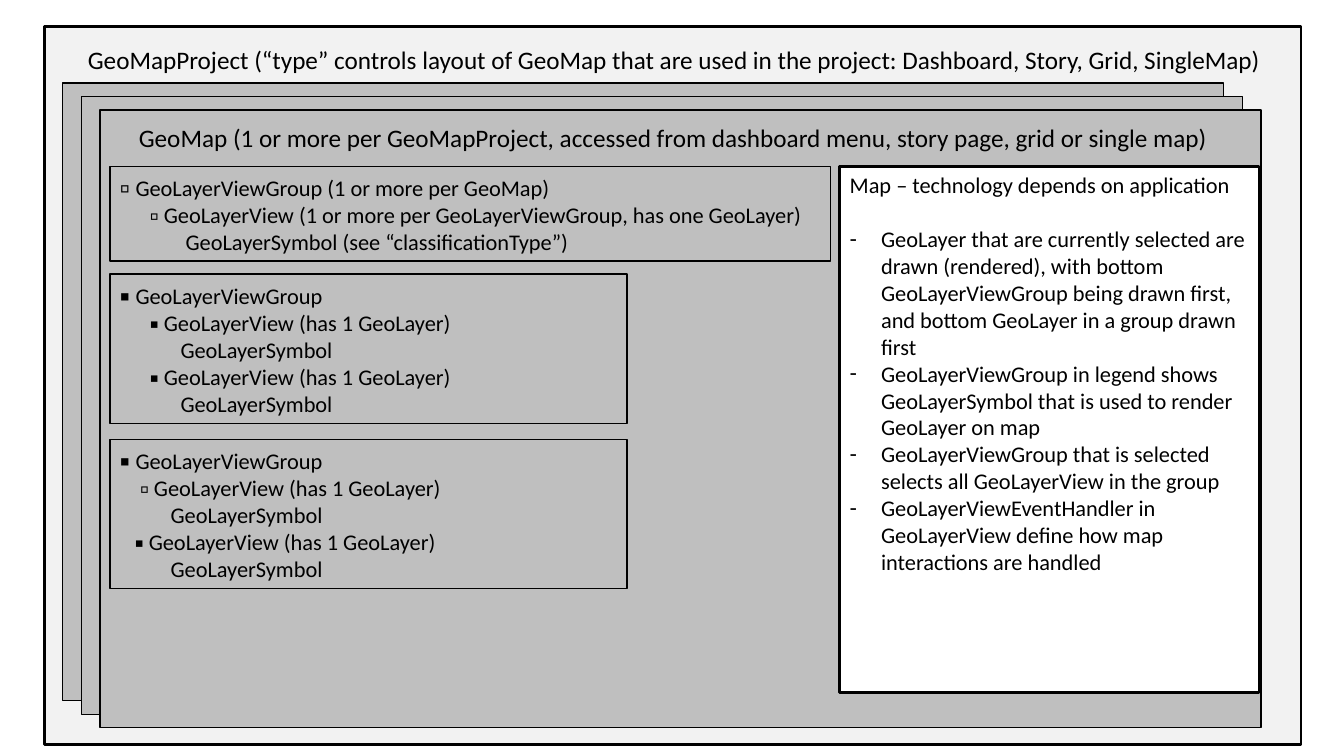
from lxml import etree
from pptx import Presentation
from pptx.dml.color import RGBColor
from pptx.enum.shapes import MSO_SHAPE
from pptx.enum.text import MSO_ANCHOR, MSO_AUTO_SIZE, PP_ALIGN
from pptx.oxml.ns import qn
from pptx.util import Cm, Pt

RECTANGLE = MSO_SHAPE.RECTANGLE
TOP = MSO_ANCHOR.TOP
NO_FIT = MSO_AUTO_SIZE.NONE
LEFT = PP_ALIGN.LEFT
OPEN, FILLED = "\u25ab ", "\u25aa "


def color(hex_string):
    """Turn a hex string into a colour."""
    return RGBColor.from_string(hex_string)


class Diagram:
    """Holds the style and the current slide."""

    font, marker_font, ink = "Calibri", "Cabin", "000000"
    heading_size, text_size, marker_size = 18, 16, 18

    def __init__(self, slide):
        self.slide = slide

    def outline(self, shape, fill, width):
        """Set the fill and border of a shape."""
        if fill:
            shape.fill.solid()
            shape.fill.fore_color.rgb = color(fill)
        else:
            shape.fill.background()
        shape.line.color.rgb = color(self.ink)
        shape.line.width = Pt(width)

    def box(self, left, top, width, height, fill=None, line=1):
        """Add a bordered rectangle."""
        shape = self.slide.shapes.add_shape(
            RECTANGLE, Cm(left), Cm(top), Cm(width), Cm(height))
        shape.shadow.inherit = False
        self.outline(shape, fill, line)
        return shape

    def place(self, holder, left, top, width, height):
        """Move a placeholder into position, in front of what is drawn."""
        holder.left, holder.top = Cm(left), Cm(top)
        holder.width, holder.height = Cm(width), Cm(height)
        self.slide.shapes._spTree.append(holder._element)

    def frame(self, shape, wrap=True):
        """Prepare a text frame and return it."""
        frame = shape.text_frame
        frame.word_wrap = wrap
        frame.auto_size = NO_FIT
        frame.vertical_anchor = TOP
        return frame

    def style(self, paragraph, size):
        """Set the common paragraph format."""
        paragraph.alignment = LEFT
        paragraph.space_before = Pt(0)
        paragraph.font.name = self.font
        paragraph.font.size = Pt(size)
        paragraph.font.color.rgb = color(self.ink)

    def indent(self, paragraph, margin, hanging=0, bullet=None):
        """Set the left margin, the hanging indent and the bullet."""
        properties = paragraph._p.get_or_add_pPr()
        properties.set("marL", str(Cm(margin)))
        properties.set("indent", str(-Cm(hanging)))
        mark = etree.Element(qn("a:buChar" if bullet else "a:buNone"))
        if bullet:
            mark.set("char", bullet)
        properties.find(qn("a:defRPr")).addprevious(mark)

    def heading(self, shape, text):
        """Write a one-line heading."""
        paragraph = self.frame(shape, wrap=False).paragraphs[0]
        paragraph.text = text
        self.style(paragraph, self.heading_size)

    def label(self, text, left, top, width, height):
        """Add a heading in a text box."""
        self.heading(self.slide.shapes.add_textbox(
            Cm(left), Cm(top), Cm(width), Cm(height)), text)

    def layer_group(self, lines, left, top, width, height):
        """Add a box of (indent, marker, text) lines."""
        frame = self.frame(self.box(left, top, width, height))
        for number, (margin, marker, text) in enumerate(lines):
            paragraph = frame.add_paragraph() if number else frame.paragraphs[0]
            self.style(paragraph, self.text_size)
            self.indent(paragraph, margin)
            if marker:
                run = paragraph.add_run()
                run.text = marker
                run.font.name = self.marker_font
                if number == 0:
                    run.font.size = Pt(self.marker_size)
            paragraph.add_run().text = text

    def bullet_panel(self, holder, title, points, *place):
        """Fill the body placeholder with a lead line and dashed points."""
        self.place(holder, *place)
        self.outline(holder, "FFFFFF", 2)
        frame = self.frame(holder)
        lead = frame.paragraphs[0]
        lead.text = title
        self.style(lead, self.text_size)
        self.indent(lead, 0)
        lead.space_after = Pt(19.5)
        for point in points:
            paragraph = frame.add_paragraph()
            paragraph.text = point
            self.style(paragraph, self.text_size)
            self.indent(paragraph, 0.79, 0.79, "-")


presentation = Presentation()
presentation.slide_width, presentation.slide_height = Cm(33.87), Cm(19.05)
slide = presentation.slides.add_slide(presentation.slide_layouts[1])
diagram = Diagram(slide)
project_title, map_panel = slide.shapes.title, slide.placeholders[1]

diagram.box(1.12, 0.66, 31.67, 18.11, "F2F2F2", 2)
diagram.place(project_title, 1.96, 0.99, 30.35, 1.02)
diagram.heading(project_title, "GeoMapProject (“type” controls layout of GeoMap that are "
                "used in the project: Dashboard, Story, Grid, SingleMap) ")

for layer in range(3):
    diagram.box(1.58 + 0.47 * layer, 2.09 + 0.34 * layer, 29.26, 15.57, "BFBFBF")
diagram.label("GeoMap (1 or more per GeoMapProject, accessed from dashboard menu, "
              "story page, grid or single map)", 3.25, 2.97, 27.76, 1.02)

GROUP, SYMBOL = "GeoLayerViewGroup", "GeoLayerSymbol"
VIEW = "GeoLayerView (has 1 GeoLayer)"
group_left = 2.77
diagram.layer_group([
    (0, OPEN, GROUP + " (1 or more per GeoMap)"),
    (0.76, OPEN, "GeoLayerView (1 or more per GeoLayerViewGroup, has one GeoLayer)"),
    (1.66, None, SYMBOL + " (see “classificationType”)"),
], group_left, 4.19, 18.16, 2.39)

# Each group: top, marker and indent of its two views, indent of their symbols
for top, views, symbol_indent in (
        (6.91, [(0.76, FILLED), (0.76, FILLED)], 1.53),
        (11.07, [(0.51, OPEN), (0.38, FILLED)], 1.28)):
    lines = [(0, FILLED, GROUP)]
    for view_indent, marker in views:
        lines += [(view_indent, marker, VIEW), (symbol_indent, None, SYMBOL)]
    diagram.layer_group(lines, group_left, top, 13.03, 3.76)

diagram.bullet_panel(map_panel, "Map – technology depends on application", [
    "GeoLayer that are currently selected are drawn (rendered), with bottom "
    "GeoLayerViewGroup being drawn first, and bottom GeoLayer in a group drawn first",
    "GeoLayerViewGroup in legend shows GeoLayerSymbol that is used to render "
    "GeoLayer on map",
    "GeoLayerViewGroup that is selected selects all GeoLayerView in the group",
    "GeoLayerViewEventHandler in GeoLayerView define how map interactions are handled",
], 21.16, 4.19, 10.57, 13.26)

presentation.save("out.pptx")
